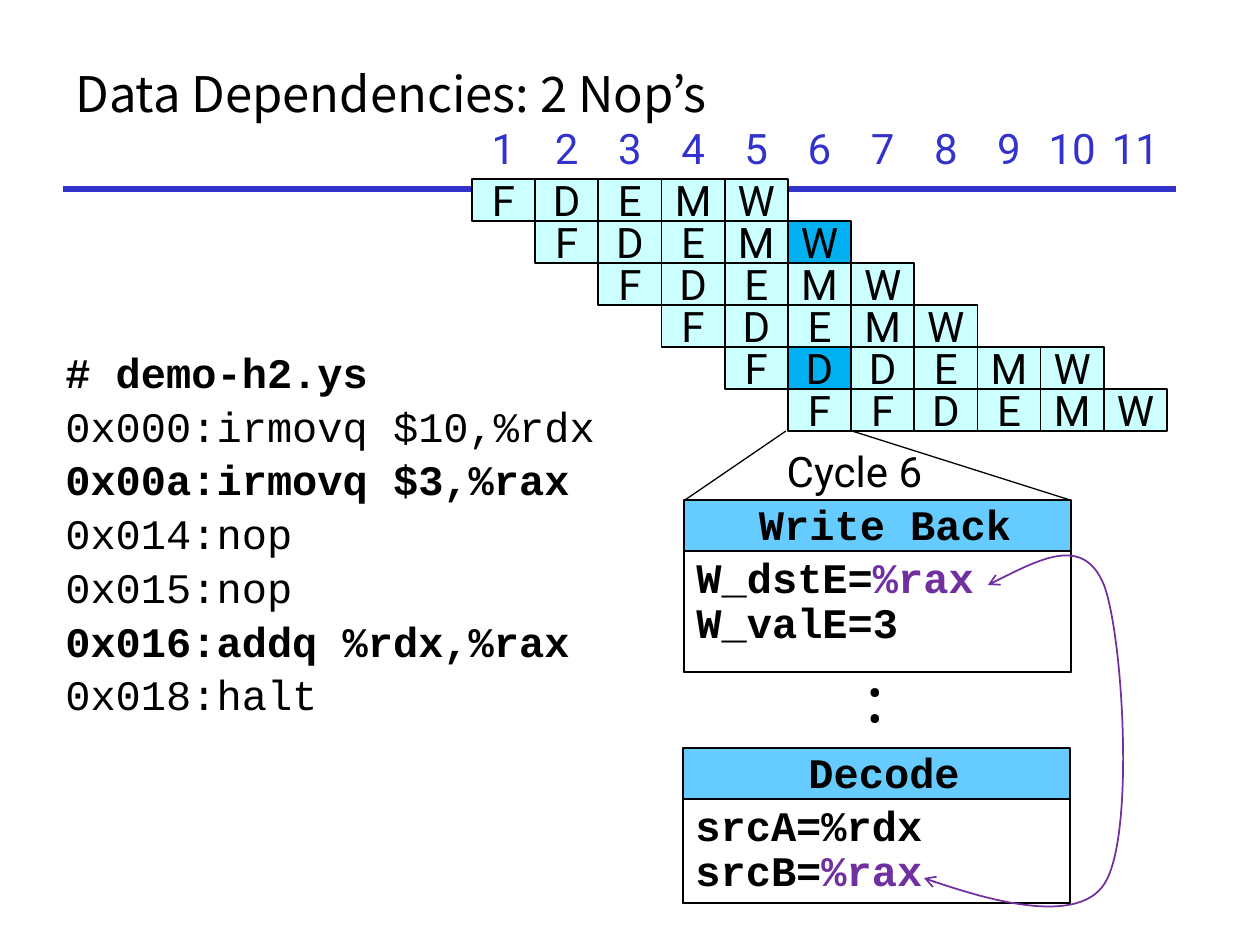
from lxml import etree
from pptx import Presentation
from pptx import util as u
from pptx.dml.color import RGBColor
from pptx.enum import shapes, text
from pptx.oxml import ns

SCALE = 914400 / 126
BLACK, WHITE, BLUE, PURPLE = "000000", "FFFFFF", "3333CC", "7030A0"
CELL_FILL, ACTIVE_FILL, STAGE_FILL = "CCFFFF", "00B0F0", "66CCFF"
SANS, MONO = "Roboto", "Courier New"


def px(length):
    return u.Emu(round(length * SCALE))


def set_color(target, color):
    target.rgb = RGBColor.from_string(color)


def set_font(paragraph, name, color=BLACK, size=24, bold=False):
    font = paragraph.font
    font.name, font.size, font.bold = name, u.Pt(size), bold
    set_color(font.color, color)


def add_rectangle(slide, box, fill, line_width=None):
    shape = slide.shapes.add_shape(shapes.MSO_SHAPE.RECTANGLE, *map(px, box))
    shape.shadow.inherit = False
    shape.fill.solid()
    set_color(shape.fill.fore_color, fill)
    if line_width:
        set_color(shape.line.color, BLACK)
        shape.line.width = u.Pt(line_width)
    else:
        shape.line.fill.background()
    return shape


def add_line(slide, start, end, color=BLACK, width=0.75):
    line = slide.shapes.add_connector(
        shapes.MSO_CONNECTOR.STRAIGHT, *map(px, start + end))
    set_color(line.line.color, color)
    line.line.width = u.Pt(width)
    etree.SubElement(line._element.spPr, ns.qn("a:effectLst"))


def add_label(slide, box, words, name, bold=False):
    frame = slide.shapes.add_textbox(*map(px, box)).text_frame
    frame.margin_left = frame.margin_right = 0
    frame.margin_top = frame.margin_bottom = 0
    frame.word_wrap = False
    frame.auto_size = text.MSO_AUTO_SIZE.SHAPE_TO_FIT_TEXT
    paragraph = frame.paragraphs[0]
    paragraph.text = words
    paragraph.alignment = text.PP_ALIGN.CENTER
    paragraph.line_spacing = 0.9
    set_font(paragraph, name, bold=bold)


def add_title(slide, box, words):
    left, top, width, height = box
    add_line(slide, (left, top + 150), (left + 1113, top + 150), BLUE, 3)
    frame = slide.shapes.add_textbox(*map(px, box)).text_frame
    frame.word_wrap = True
    frame.vertical_anchor = text.MSO_ANCHOR.MIDDLE
    frame.paragraphs[0].text = words
    set_font(frame.paragraphs[0], "Noto Sans CJK KR", size=28)


def add_cell(slide, box, words, fill, color=BLACK, line_width=None):
    frame = add_rectangle(slide, box, fill, line_width).text_frame
    frame.word_wrap = False
    frame.vertical_anchor = text.MSO_ANCHOR.MIDDLE
    paragraph = frame.paragraphs[0]
    paragraph.text = words
    paragraph.alignment = text.PP_ALIGN.CENTER
    set_font(paragraph, SANS, color)


def add_pipeline(slide, box, cycles, instructions, active):
    left, top, width, height = box
    column, row = width / cycles, 42
    for cycle in range(cycles):
        header = (left + cycle * column, top, column, row + 1)
        add_cell(slide, header, str(cycle + 1), WHITE, BLUE)
    for start, stages in enumerate(instructions):
        for cycle, stage in enumerate(stages, start):
            cell = (left + cycle * column, top + 53 + start * row, column, row)
            fill = ACTIVE_FILL if (start, cycle) in active else CELL_FILL
            add_cell(slide, cell, stage, fill, line_width=1)


def add_code(slide, box, lines, bold_lines):
    frame = slide.shapes.add_textbox(*map(px, box)).text_frame
    frame.word_wrap = True
    for index, line in enumerate(lines):
        paragraph = frame.add_paragraph() if index else frame.paragraphs[0]
        paragraph.text = line
        paragraph.line_spacing = 0.9
        if index:
            paragraph.space_before = u.Pt(4.8)
        set_font(paragraph, MONO, bold=index in bold_lines)


def add_stage(slide, box, heading, signals):
    left, top, width, height = box
    add_rectangle(slide, box, STAGE_FILL, 0.75)
    label_width = 26 * len(heading)
    label = (left + 201 - label_width / 2, top + 4, label_width, 47)
    add_label(slide, label, heading, MONO, bold=True)
    body = (left, top + 51, width, height - 51)
    frame = add_rectangle(slide, body, WHITE, 1).text_frame
    frame.word_wrap = True
    frame.vertical_anchor = text.MSO_ANCHOR.TOP
    for index, (plain, highlighted) in enumerate(signals):
        paragraph = frame.add_paragraph() if index else frame.paragraphs[0]
        paragraph.alignment = text.PP_ALIGN.LEFT
        paragraph.line_spacing = 0.9
        set_font(paragraph, MONO, bold=True)
        paragraph.add_run().text = plain
        if highlighted:
            run = paragraph.add_run()
            run.text = highlighted
            set_color(run.font.color, PURPLE)


def add_curved_arrow(slide, start, points):
    builder = slide.shapes.build_freeform(*start, scale=SCALE)
    builder.add_line_segments(points, close=False)
    shape = builder.convert_to_shape()
    shape.shadow.inherit = False
    shape.fill.background()
    set_color(shape.line.color, PURPLE)
    shape.line.width = u.Pt(1)
    segments = shape._element.xpath(".//a:lnTo")
    for first in range(0, len(segments), 3):
        curve = etree.Element(ns.qn("a:cubicBezTo"))
        segments[first].addprevious(curve)
        for segment in segments[first:first + 3]:
            curve.append(segment[0])
            segment.getparent().remove(segment)
    outline = shape._element.xpath("./p:spPr/a:ln")[0]
    for end in ("a:headEnd", "a:tailEnd"):
        etree.SubElement(outline, ns.qn(end), type="arrow")


def add_cycle_detail(slide, box):
    left, top, width, height = box
    add_line(slide, (left + 103, top), (left + 2, top + 69))
    add_line(slide, (left + 169, top), (left + 387, top + 69))
    add_label(slide, (left + 101, top + 20, 141, 45), "Cycle 6", SANS)
    add_stage(slide, (left + 1, top + 69, width, 172), "Write Back",
              [("W_dstE=", "%rax"), ("W_valE=3", "")])
    for dot_top in (241, 267):
        add_label(slide, (left + 185, top + dot_top, 14, 45), "•", SANS)
    add_stage(slide, (left, top + height - 155, width, 155), "Decode",
              [("srcA=%rdx", ""), ("srcB=", "%rax")])
    curve = [(353, 130), (401, 105), (421, 154), (440, 204), (452, 403),
             (422, 452), (393, 500), (238, 447), (241, 447)]
    add_curved_arrow(slide, (left + 305, top + 154),
                     [(left + x, top + y) for x, y in curve])


def main():
    presentation = Presentation()
    presentation.slide_width, presentation.slide_height = px(1260), px(945)
    slide = presentation.slides.add_slide(presentation.slide_layouts[6])
    add_title(slide, (63, 39, 1176, 107), "Data Dependencies: 2 Nop’s")
    code = ["# demo-h2.ys", "0x000:irmovq $10,%rdx", "0x00a:irmovq $3,%rax",
            "0x014:nop", "0x015:nop", "0x016:addq %rdx,%rax", "0x018:halt"]
    add_code(slide, (53, 346, 620, 493), code, {0, 2, 5})
    add_cycle_detail(slide, (683, 431, 387, 472))
    add_pipeline(slide, (472, 126, 695, 305), 11,
                 ["FDEMW"] * 4 + ["FDDEMW", "FFDEMW"], {(1, 5), (4, 5)})
    presentation.save("out.pptx")


if __name__ == "__main__":
    main()
